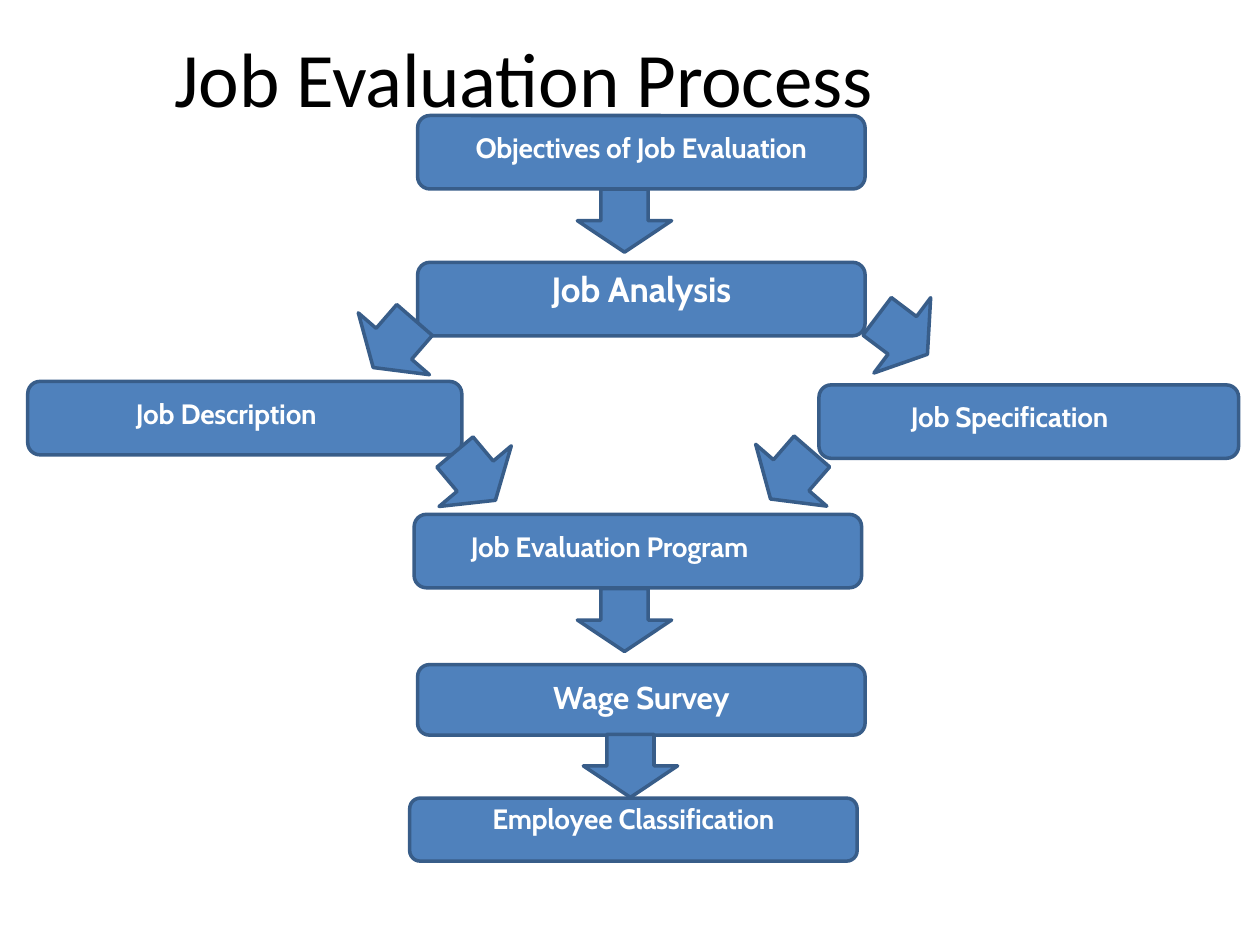
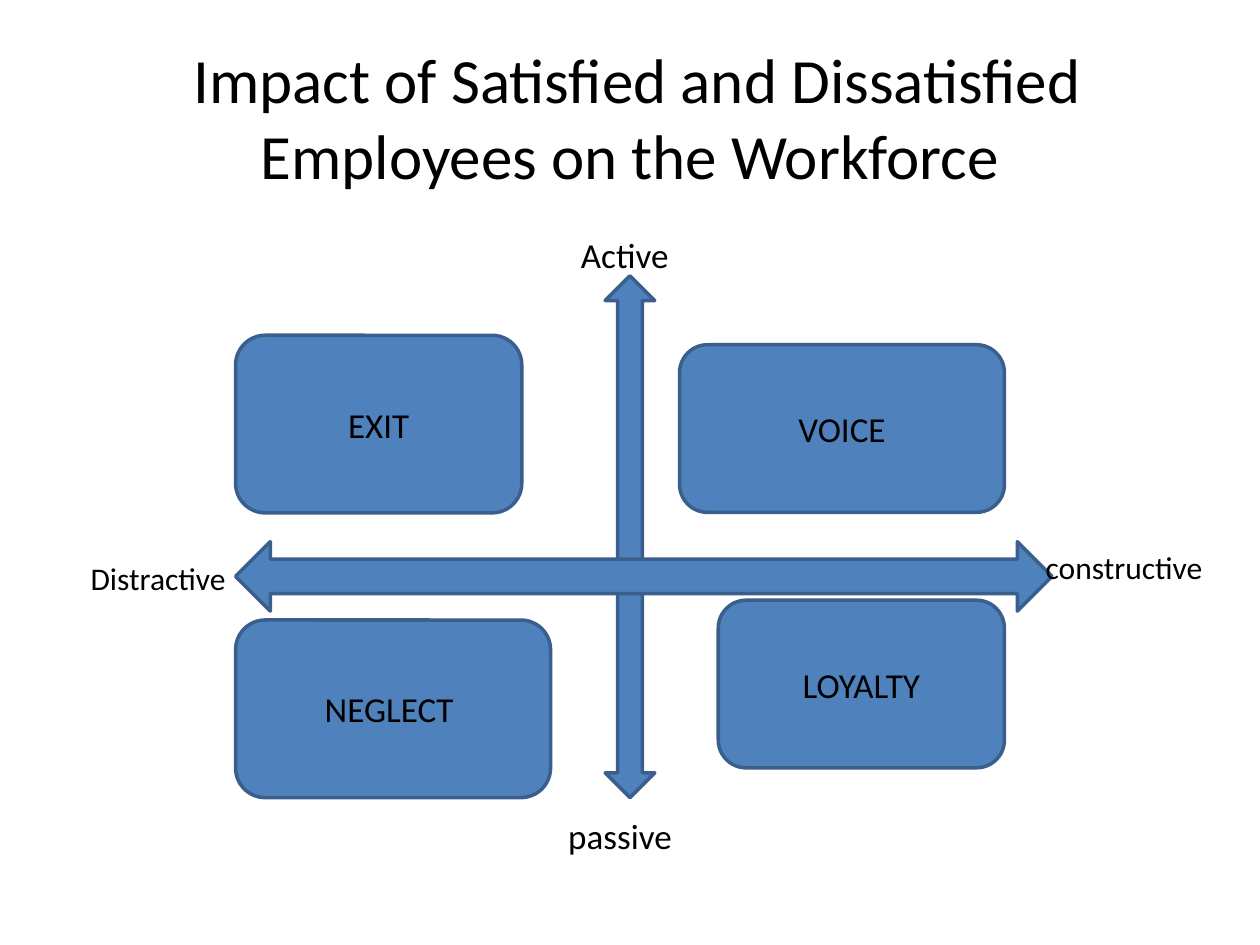
from pptx import Presentation
from pptx import util as u
from pptx.dml.color import RGBColor
from pptx.enum import shapes, text

Kind = shapes.MSO_SHAPE
Align = text.PP_ALIGN
Anchor = text.MSO_ANCHOR

HUES = {
    "flow": "4F81BC", "flow edge": "385D89",
    "grid": "4F81BD", "grid edge": "3A5F8C",
    "ink": "000000", "white": "FFFFFF",
}
INSET = (0.25, 0.13)  # usual side and top margins


def hue(name):
    return RGBColor.from_string(HUES[name])


class Deck:
    """Shared style and the slide being filled; all lengths in cm."""

    def __init__(self):
        self.prs = Presentation()
        self.prs.slide_width = u.Cm(25.4)
        self.prs.slide_height = u.Cm(19.05)

    def page(self, theme):
        self.theme = theme
        self.slide = self.prs.slides.add_slide(self.prs.slide_layouts[6])

    def letter(self, shape, words, size, font="Calibri", ink="ink", bold=False,
               align=Align.CENTER, anchor=Anchor.MIDDLE, inset=INSET, gap=0):
        frame = shape.text_frame
        frame.text = words
        frame.word_wrap = True
        frame.vertical_anchor = anchor
        side, top = inset
        frame.margin_left = u.Cm(side)
        frame.margin_right = u.Cm(0 if align == Align.LEFT else side)
        frame.margin_top = frame.margin_bottom = u.Cm(top)
        para = frame.paragraphs[0]
        para.alignment = align
        for run in para.runs:
            run.font.name = font
            run.font.size = u.Pt(size)
            run.font.bold = bold
            run.font.color.rgb = hue(ink)
            if gap:
                run._r.get_or_add_rPr().set("spc", str(gap))

    def label(self, words, box, size, **look):
        shape = self.slide.shapes.add_textbox(*map(u.Cm, box))
        self.letter(shape, words, size, **look)

    def form(self, kind, box, turn=0):
        shape = self.slide.shapes.add_shape(kind, *map(u.Cm, box))
        shape.shadow.inherit = False
        shape.fill.solid()
        shape.fill.fore_color.rgb = hue(self.theme)
        shape.line.color.rgb = hue(self.theme + " edge")
        shape.line.width = u.Pt(2)
        shape.rotation = turn
        return shape

    def block(self, words, box, size, **look):
        self.letter(self.form(Kind.ROUNDED_RECTANGLE, box), words, size, **look)

    def arrow(self, x, y, turn=0):
        """Down arrow centred on x, y and turned clockwise."""
        wide, high = 1.9, 1.27
        self.form(Kind.DOWN_ARROW, (x - wide / 2, y - high / 2, wide, high), turn)


def process(deck):
    deck.page("flow")
    deck.label("Job Evaluation Process", (0.79, 0.6, 19.53, 1.9), 44,
               inset=(0, 0.03), gap=-15)

    # Steps: words, box, size, left margin (None when centred), top margin
    steps = [
        ("Objectives of Job Evaluation", (8.42, 2.33, 9.02, 1.48), 16, None, 0.23),
        ("Job Analysis", (8.42, 5.29, 9.02, 1.48), 20, None, 0.03),
        ("Job Specification", (16.51, 7.76, 8.46, 1.48), 16, 1.78, 0.23),
        ("Wage Survey", (8.42, 13.4, 9.02, 1.42), 18, None, 0.19),
        ("Employee Classification", (8.26, 16.09, 9.02, 1.27), 16, None, 0),
        ("Job Evaluation Program", (8.35, 10.37, 9.02, 1.48), 16, 1.07, 0.23),
        ("Job Description", (0.56, 7.69, 8.75, 1.48), 16, 2.11, 0.23),
    ]
    for words, box, size, left, top in steps:
        deck.block(words, box, size, font="Cabin", ink="white", bold=True,
                   align=Align.CENTER if left is None else Align.LEFT,
                   anchor=Anchor.TOP, inset=(left or 0, top), gap=-10)

    # Arrows between the steps
    for spot in [(12.59, 4.45), (12.71, 15.44), (18.19, 6.76, -53),
                 (7.94, 6.93, 41), (12.59, 12.5), (9.58, 9.6, -40),
                 (15.95, 9.58, 41)]:
        deck.arrow(*spot)


def impact(deck):
    deck.page("grid")
    deck.label(" Impact of Satisfied and Dissatisfied Employees on the Workforce",
               (1.27, 0.76, 22.86, 3.18), 36)

    # Axes
    deck.form(Kind.UP_DOWN_ARROW, (12.2, 5.56, 1, 10.52))
    deck.form(Kind.LEFT_RIGHT_ARROW, (4.75, 10.92, 16.46, 1.4))

    # Responses
    for words, box in [("EXIT", (4.75, 6.76, 5.77, 3.58)),
                       ("VOICE", (13.7, 6.95, 6.55, 3.38)),
                       ("NEGLECT ", (4.75, 12.5, 6.35, 3.58)),
                       ("LOYALTY", (14.48, 12.1, 5.77, 3.38))]:
        deck.block(words, box, 20)

    # Axis ends
    for words, box, size, align in [
            ("Active", (10.31, 4.57, 4.57, 1.12), 20, Align.CENTER),
            ("Distractive ", (1.57, 11.13, 3.38, 1.02), 18, Align.CENTER),
            ("passive", (9.12, 16.28, 6.76, 1.12), 20, Align.CENTER),
            ("constructive", (20.83, 10.92, 4.57, 1.02), 18, Align.LEFT)]:
        deck.label(words, box, size, align=align, anchor=Anchor.TOP)


def main():
    deck = Deck()
    process(deck)
    impact(deck)
    deck.prs.save("out.pptx")


if __name__ == "__main__":
    main()
